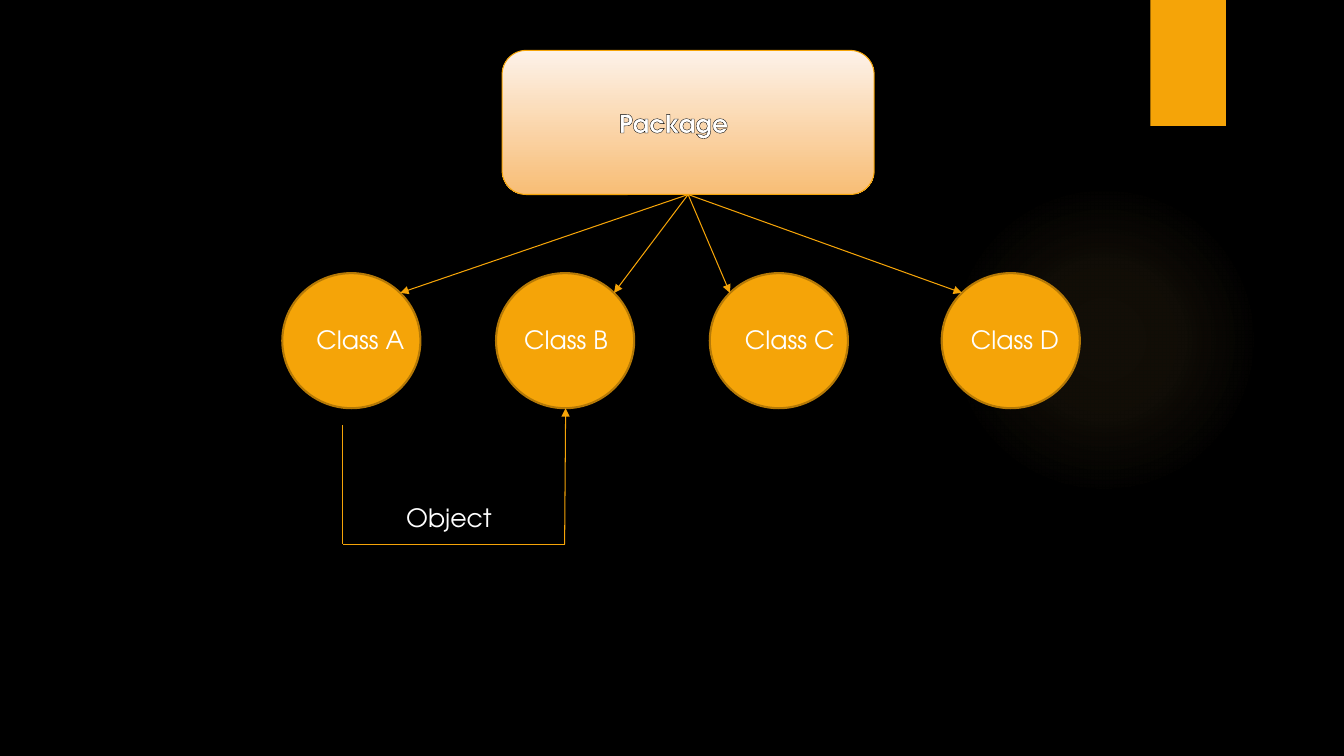
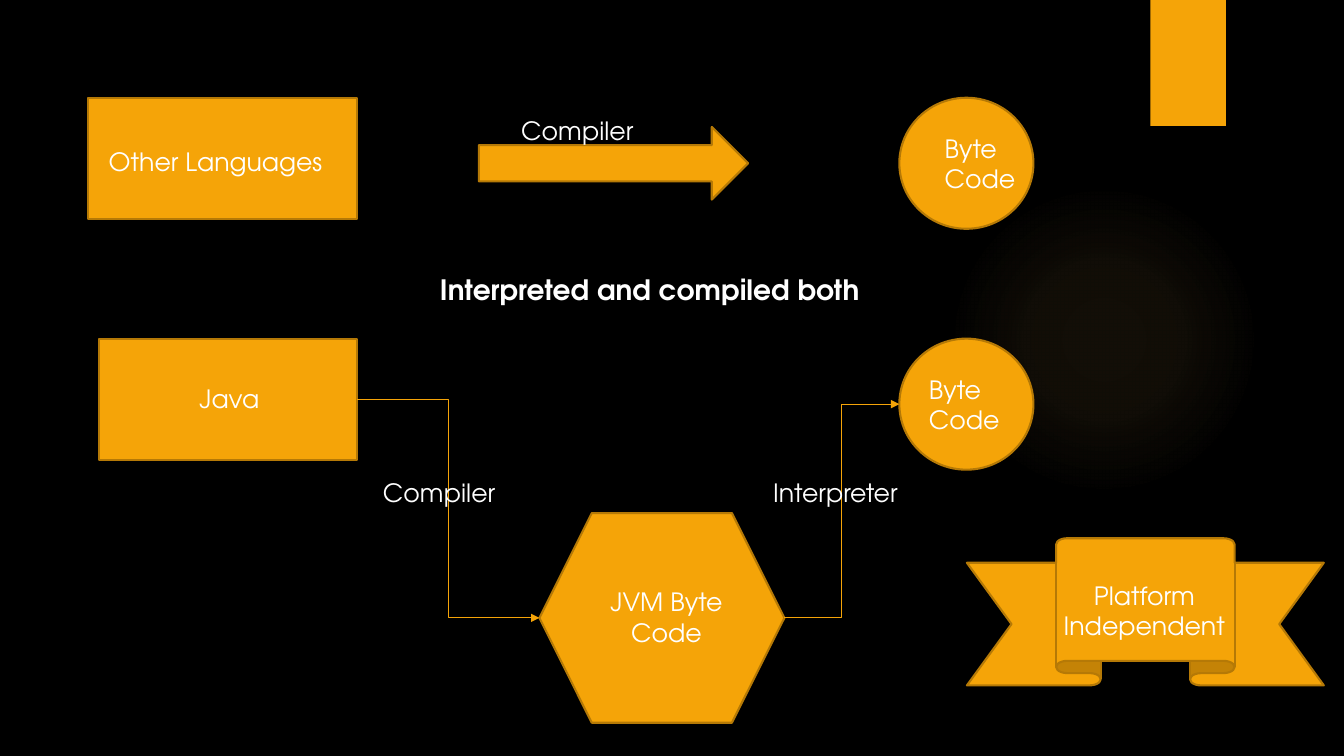
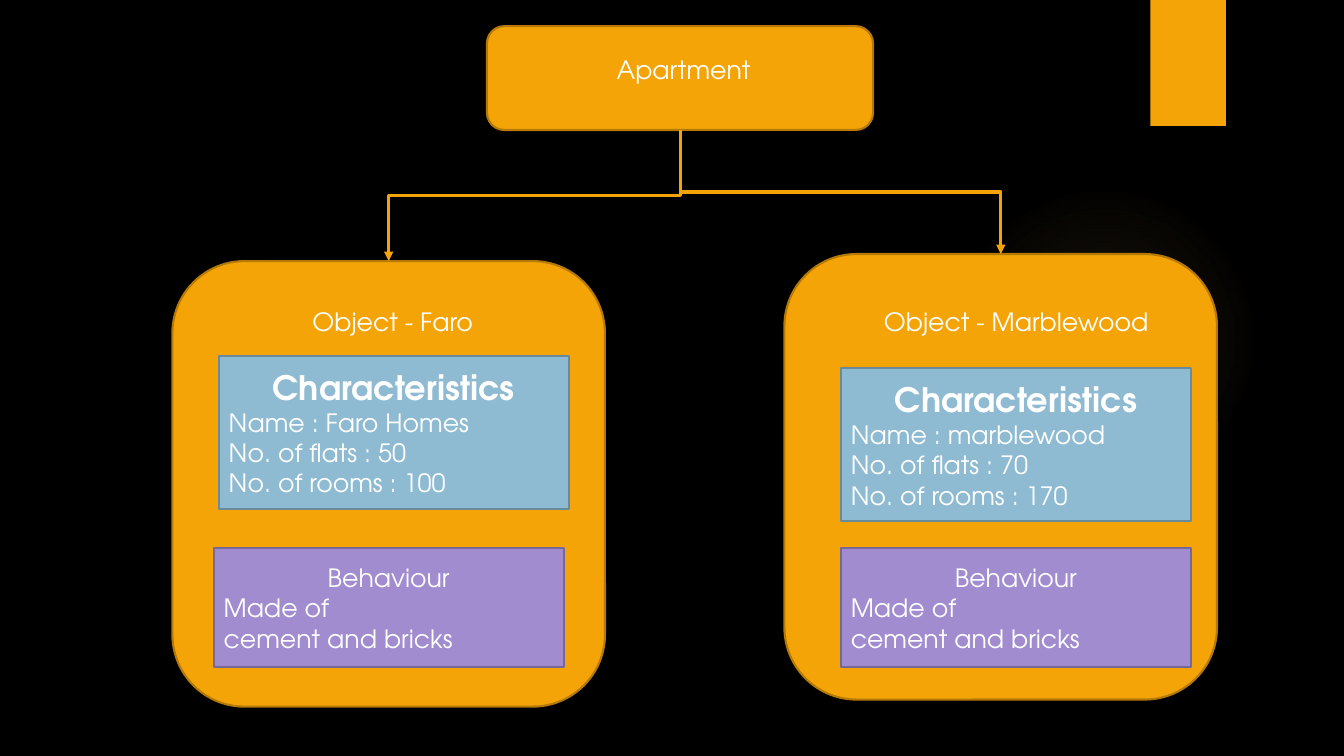
from lxml import etree
from pptx import Presentation
from pptx.dml.color import RGBColor
from pptx.enum.shapes import MSO_CONNECTOR, MSO_SHAPE
from pptx.enum.text import MSO_ANCHOR, MSO_AUTO_SIZE, PP_ALIGN
from pptx.oxml import parse_xml
from pptx.oxml.ns import nsdecls, qn
from pptx.util import Inches, Pt

RECT = MSO_SHAPE.RECTANGLE
ROUNDED = MSO_SHAPE.ROUNDED_RECTANGLE
OVAL = MSO_SHAPE.OVAL
ARROW = MSO_SHAPE.RIGHT_ARROW
HEXAGON = MSO_SHAPE.HEXAGON
RIBBON = MSO_SHAPE.UP_RIBBON
STRAIGHT = MSO_CONNECTOR.STRAIGHT
ELBOW = MSO_CONNECTOR.ELBOW
LEFT = PP_ALIGN.LEFT
CENTER = PP_ALIGN.CENTER
MIDDLE = MSO_ANCHOR.MIDDLE
GROW = MSO_AUTO_SIZE.SHAPE_TO_FIT_TEXT

FONT = "TeX Gyre Adventor"
COLORS = {
    "background": "000000",
    "text": "FFFFFF",
    "amber": "F5A408",
    "amber_edge": "B57906",
    "glow": "FAC96A",
    "cream": "FDF2E9",
    "peach": "F8BD75",
    "blue": "8EBBD2",
    "blue_edge": "698A9B",
    "purple": "A18CD0",
    "purple_edge": "77689A",
}
DOWNWARD = '<a:lin ang="5400000" scaled="0"/>'
RADIAL = ('<a:path path="circle"><a:fillToRect l="50000" t="50000" '
          'r="50000" b="50000"/></a:path>')


def color(name):
    return RGBColor.from_string(COLORS[name])


def write(frame, text, size=18, bold=False, align=LEFT, outline=None):
    para = frame.paragraphs[0]
    if para.runs:
        para = frame.add_paragraph()
    para.alignment = align
    span = para.add_run()
    span.text = text
    span.font.name = FONT
    span.font.size = Pt(size)
    span.font.bold = bold
    span.font.color.rgb = color("text")
    if outline:
        span.font._element.insert(0, parse_xml(
            f'<a:ln {nsdecls("a")} w="9525"><a:solidFill>'
            f'<a:srgbClr val="{COLORS[outline]}"/></a:solidFill></a:ln>'))


class Builder:
    def __init__(self):
        self.deck = Presentation()
        self.deck.slide_width = Inches(13.33)
        self.deck.slide_height = Inches(7.5)
        fill = self.deck.slide_master.background.fill
        fill.solid()
        fill.fore_color.rgb = color("background")
        self.page = None

    def new_page(self):
        self.page = self.deck.slides.add_slide(self.deck.slide_layouts[6])
        glow = self.shape(OVAL, 9.41, 1.83, 3.08, 3.08, edge=None)
        self.gradient(glow, [(0, "glow", 7), (36, "glow", 6), (69, "glow", 0)], RADIAL)
        self.shape(RECT, 11.41, 0, 0.75, 1.25, edge=None)

    def shape(self, kind, left, top, width, height, fill="amber",
              edge="amber_edge", weight=1.5):
        shape = self.page.shapes.add_shape(
            kind, Inches(left), Inches(top), Inches(width), Inches(height))
        shape.shadow.inherit = False
        shape.fill.solid()
        shape.fill.fore_color.rgb = color(fill)
        if edge:
            shape.line.color.rgb = color(edge)
            shape.line.width = Pt(weight)
        else:
            shape.line.fill.background()
        shape.text_frame.vertical_anchor = MIDDLE
        return shape

    def gradient(self, shape, stops, direction):
        marks = "".join(
            f'<a:gs pos="{position * 1000}"><a:srgbClr val="{COLORS[name]}">'
            f'<a:alpha val="{opacity * 1000}"/></a:srgbClr></a:gs>'
            for position, name, opacity in stops)
        properties = shape.element.spPr
        properties.replace(properties.find(qn("a:solidFill")), parse_xml(
            f'<a:gradFill {nsdecls("a")} rotWithShape="1">'
            f'<a:gsLst>{marks}</a:gsLst>{direction}</a:gradFill>'))

    def label(self, text, left, top, width, height=0.4, **style):
        box = self.page.shapes.add_textbox(
            Inches(left), Inches(top), Inches(width), Inches(height))
        box.text_frame.word_wrap = True
        box.text_frame.auto_size = GROW
        write(box.text_frame, text, **style)

    def connector(self, start, end, kind=STRAIGHT, weight=0.75, head=True):
        points = [Inches(value) for value in (*start, *end)]
        line = self.page.shapes.add_connector(kind, *points)
        line.line.color.rgb = color("amber")
        line.line.width = Pt(weight)
        properties = line.element.spPr
        if head:
            etree.SubElement(properties.find(qn("a:ln")), qn("a:tailEnd"), type="triangle")
        etree.SubElement(properties, qn("a:effectLst"))
        return line

    def drop_connector(self, start, end, weight):
        middle_x, middle_y = (start[0] + end[0]) / 2, (start[1] + end[1]) / 2
        half_x = (end[1] - start[1]) / 2
        half_y = abs(end[0] - start[0]) / 2
        rightward = end[0] > start[0]
        if rightward:
            half_x = -half_x
        line = self.connector((middle_x - half_x, middle_y - half_y),
                              (middle_x + half_x, middle_y + half_y), ELBOW, weight)
        turn = 270 if rightward else 90
        line.element.spPr.find(qn("a:xfrm")).set("rot", str(turn * 60000))

    def card(self, left, top, height, fill, heading, lines, **style):
        box = self.shape(RECT, left, top, 3.47, height, fill, fill + "_edge")
        write(box.text_frame, heading, align=CENTER, **style)
        for line in lines:
            write(box.text_frame, line)


def package_page(builder):
    builder.new_page()
    package = builder.shape(ROUNDED, 4.98, 0.5, 3.69, 1.43, edge="amber", weight=0.75)
    builder.gradient(package, [(0, "cream", 100), (100, "peach", 100)], DOWNWARD)
    builder.label("Package", 6.04, 1.02, 1.57, bold=True, outline="background")

    width, height, top = 1.37, 1.34, 2.71
    corner = 0.146
    classes = [("A", 2.8, 3.04, 1 - corner), ("B", 4.92, 5.1, 1 - corner),
               ("C", 7.04, 7.29, corner), ("D", 9.34, 9.53, corner)]
    for letter, left, label_left, side in classes:
        builder.shape(OVAL, left, top, width, height)
        builder.label(f"Class {letter}", label_left, 3.17, 1.18)
        arrow = builder.connector((6.83, 1.93), (left + side * width, top + corner * height))
        arrow.begin_connect(package, 2)

    builder.connector((3.4, 4.22), (3.4, 5.4), head=False)
    builder.connector((3.4, 5.4), (5.6, 5.4), head=False)
    builder.connector((5.6, 5.4), (5.61, 4.05))
    builder.label("Object", 3.93, 4.93, 1.17)


def compiler_page(builder):
    builder.new_page()
    builder.shape(RECT, 0.87, 0.97, 2.67, 1.2)
    builder.label("Other Languages", 0.98, 1.4, 2.49)
    builder.shape(ARROW, 4.75, 1.26, 2.67, 0.72)
    builder.label("Compiler", 5.07, 1.09, 1.75)
    builder.shape(OVAL, 8.92, 0.97, 1.33, 1.3)
    builder.label("Byte Code", 9.27, 1.27, 0.98, 0.71)

    builder.label("Interpreted and compiled both", 3.79, 2.65, 5.31, 0.44,
                  size=20, bold=True, align=CENTER)

    builder.shape(RECT, 0.98, 3.36, 2.56, 1.2)
    builder.label("Java", 1.16, 3.75, 2.23, align=CENTER)
    builder.shape(HEXAGON, 5.35, 5.09, 2.43, 2.08)
    builder.label("JVM Byte Code", 5.92, 5.77, 1.38, 0.71, align=CENTER)
    result = builder.shape(OVAL, 8.92, 3.36, 1.33, 1.3)
    write(result.text_frame, "Byte Code")
    builder.connector((3.54, 3.96), (5.35, 6.13), ELBOW)
    builder.connector((7.78, 6.13), (8.92, 4.01), ELBOW)
    builder.label("Compiler", 3.7, 4.69, 1.79)
    builder.label("Interpreter", 7.57, 4.69, 1.9)

    builder.shape(RIBBON, 9.59, 5.34, 3.54, 1.46)
    builder.label("Platform Independent", 10.43, 5.71, 1.84, 0.71, align=CENTER)


def apartment_page(builder):
    builder.new_page()
    builder.shape(ROUNDED, 4.83, 0.26, 3.83, 1.03)
    builder.label("Apartment", 5.11, 0.49, 3.34, align=CENTER)

    objects = [
        ("Faro", "Faro Homes", 50, 100, (1.71, 2.59), (2.54, 2.71), (2.17, 3.53), 2.12),
        ("Marblewood", "marblewood", 70, 170, (7.78, 2.52), (8.66, 2.84), (8.34, 3.65), 8.34),
    ]
    for title, name, flats, rooms, panel, heading, facts, behaviour_left in objects:
        left, top = panel
        builder.shape(ROUNDED, left, top, 4.29, 4.42)
        builder.drop_connector((6.75, 1.29), (left + 4.29 / 2, top), 2.25)
        builder.label(f"Object - {title}", heading[0], 2.99, heading[1], align=CENTER)
        builder.card(behaviour_left, 5.44, 1.18, "purple", "Behaviour",
                     ["Made of", "cement and bricks"])
        builder.card(*facts, 1.52, "blue", "Characteristics",
                     [f"Name : {name}", f"No. of flats : {flats}",
                      f"No. of rooms : {rooms}"], size=24, bold=True)


def main():
    builder = Builder()
    package_page(builder)
    compiler_page(builder)
    apartment_page(builder)
    builder.deck.save("out.pptx")


if __name__ == "__main__":
    main()
